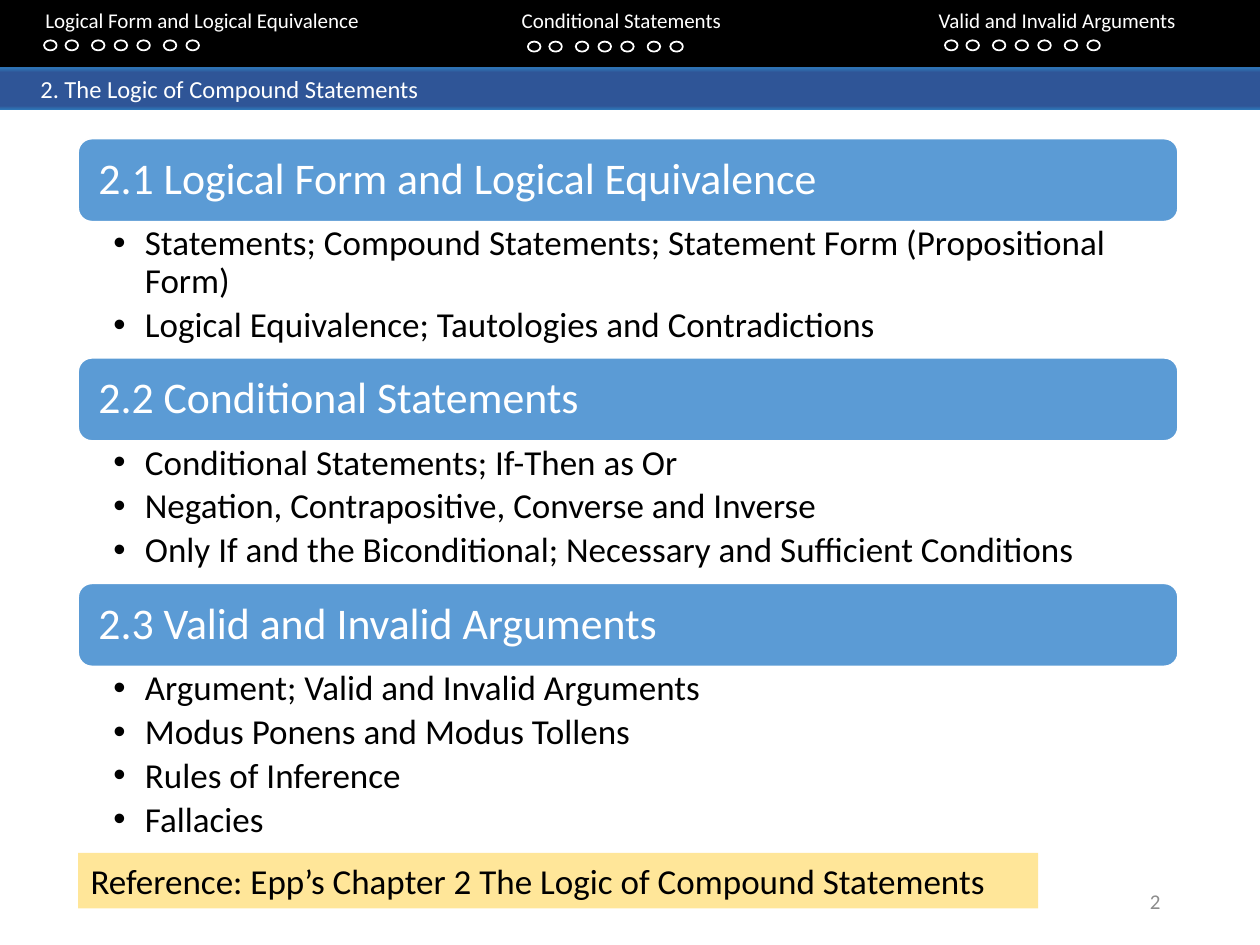
"""Build the outline slide for the logic of compound statements."""
import lxml.etree
import pptx
import pptx.dml.color
import pptx.enum.shapes
import pptx.enum.text
import pptx.oxml.ns
import pptx.util

Inches = pptx.util.Inches
Pt = pptx.util.Pt
qn = pptx.oxml.ns.qn
KIND = pptx.enum.shapes.MSO_SHAPE
ANCHOR = pptx.enum.text.MSO_ANCHOR
ALIGN = pptx.enum.text.PP_ALIGN

TITLE = "2. The Logic of Compound Statements"
NAV = [
    ("Logical Form and Logical Equivalence", 0.35, 0.32),
    ("Conditional Statements", 4.19, 0.33),
    ("Valid and Invalid Arguments", 7.5, 0.32),
]
NAV_TEXT = [0.36, 4.14, 7.45]
DOTS = [0, 0.17, 0.38, 0.56, 0.74, 0.95, 1.13]
PARTS = [
    ("2.1 Logical Form and Logical Equivalence", 1.08, [
        "Statements; Compound Statements; Statement Form (Propositional Form)",
        "Logical Equivalence; Tautologies and Contradictions"]),
    ("2.2 Conditional Statements", 1.13, [
        "Conditional Statements; If-Then as Or",
        "Negation, Contrapositive, Converse and Inverse",
        "Only If and the Biconditional; Necessary and Sufficient Conditions"]),
    ("2.3 Valid and Invalid Arguments", 1.5, [
        "Argument; Valid and Invalid Arguments",
        "Modus Ponens and Modus Tollens",
        "Rules of Inference",
        "Fallacies"]),
]
NOTE = "Reference: Epp\u2019s Chapter 2 The Logic of Compound Statements"
BLUES = [(0, "2E75B6"), (11, "2F5597"), (91, "2F5597"), (100, "2E75B6")]
LEFT, WIDTH, HEAD = 0.62, 8.73, 0.66


def color(code):
    return pptx.dml.color.RGBColor.from_string(code)


def place(item, x, y, w, h):
    item.left, item.top = Inches(x), Inches(y)
    item.width, item.height = Inches(w), Inches(h)


def shape(kind, x, y, w, h, fill=None, line=None):
    item = slide.shapes.add_shape(kind, Inches(x), Inches(y), Inches(w), Inches(h))
    item.shadow.inherit = False
    if fill:
        item.fill.solid()
        item.fill.fore_color.rgb = color(fill)
    else:
        item.fill.background()
    if line:
        item.line.color.rgb = color(line)
        item.line.width = Pt(1)
    else:
        item.line.fill.background()
    return item


def shade(item):
    item.fill.gradient()
    item.fill.gradient_angle = 270
    stops = item.element.spPr.find(".//" + qn("a:gsLst"))
    stops.clear()
    for spot, code in BLUES:
        stop = lxml.etree.SubElement(stops, qn("a:gs"), pos=str(spot * 1000))
        lxml.etree.SubElement(stop, qn("a:srgbClr"), val=code)


def write(item, lines, size, code, inset=(0.1, 0.05, 0.1, 0.05),
          anchor=ANCHOR.TOP, align=ALIGN.LEFT, wrap=True):
    frame = item.text_frame
    frame.word_wrap = wrap
    frame.auto_size = pptx.enum.text.MSO_AUTO_SIZE.NONE
    frame.vertical_anchor = anchor
    (frame.margin_left, frame.margin_top,
     frame.margin_right, frame.margin_bottom) = map(Inches, inset)
    for i, text in enumerate(lines):
        para = frame.add_paragraph() if i else frame.paragraphs[0]
        para.alignment = align
        para.space_before = Pt(0)
        run = para.add_run()
        run.text = text
        run.font.name = "Calibri"
        run.font.size = Pt(size)
        run.font.bold = False
        run.font.color.rgb = color(code)
    return frame.paragraphs


def bullet(para):
    para.line_spacing = 0.9
    para.space_after = Pt(3.5)
    props = para._p.get_or_add_pPr()
    props.set("marL", str(Inches(0.25)))
    props.set("indent", str(-Inches(0.25)))
    lxml.etree.SubElement(props, qn("a:buFont"), typeface="Arial")
    lxml.etree.SubElement(props, qn("a:buChar"), char="\u2022")


def label(text, x, y, w, h, size, code, **style):
    box = slide.shapes.add_textbox(Inches(x), Inches(y), Inches(w), Inches(h))
    write(box, [text], size, code, **style)


deck = pptx.Presentation()
deck.slide_width, deck.slide_height = Inches(10), Inches(7.5)
slide = deck.slides.add_slide(deck.slide_layouts[4])
title, *lists, spare = list(slide.placeholders)
spare.element.getparent().remove(spare.element)

shape(KIND.RECTANGLE, 0, -0.02, 10, 0.56, "000000")
shade(shape(KIND.RECTANGLE, 0, 0.53, 10, 0.3))
for (name, start, top), x in zip(NAV, NAV_TEXT):
    label(name, x, 0.01, 2.55, 0.3, 12, "FFFFFF", inset=(0, 0.05, 0, 0), wrap=False)
    for step in DOTS:
        shape(KIND.OVAL, start + step, top, 0.1, 0.08, line="FFFFFF")

place(title, 0, 0.54, 10, 0.33)
shade(title)
write(title, [TITLE], 14, "FFFFFF", (0.32, 0, 0.1, 0), ANCHOR.MIDDLE)
slide.shapes._spTree.append(title.element)

top = 1.1
for (name, tall, items), body in zip(PARTS, lists):
    head = shape(KIND.ROUNDED_RECTANGLE, LEFT, top, WIDTH, HEAD, "5B9BD5", "FFFFFF")
    write(head, [name], 25, "FFFFFF", (0.13, 0.1, 0.13, 0.1), ANCHOR.MIDDLE)[0].line_spacing = 0.9
    place(body, LEFT, top + HEAD, WIDTH, tall)
    for para in write(body, items, 20, "000000", (0.28, 0.03, 0.19, 0.03)):
        bullet(para)
    top += HEAD + tall

note = shape(KIND.RECTANGLE, LEFT, 6.77, 7.62, 0.44, "FFE699")
write(note, [NOTE], 20, "000000")
label("2", 7.06, 6.95, 2.25, 0.4, 12, "8C8C8C", anchor=ANCHOR.MIDDLE, align=ALIGN.RIGHT)

deck.save("out.pptx")
